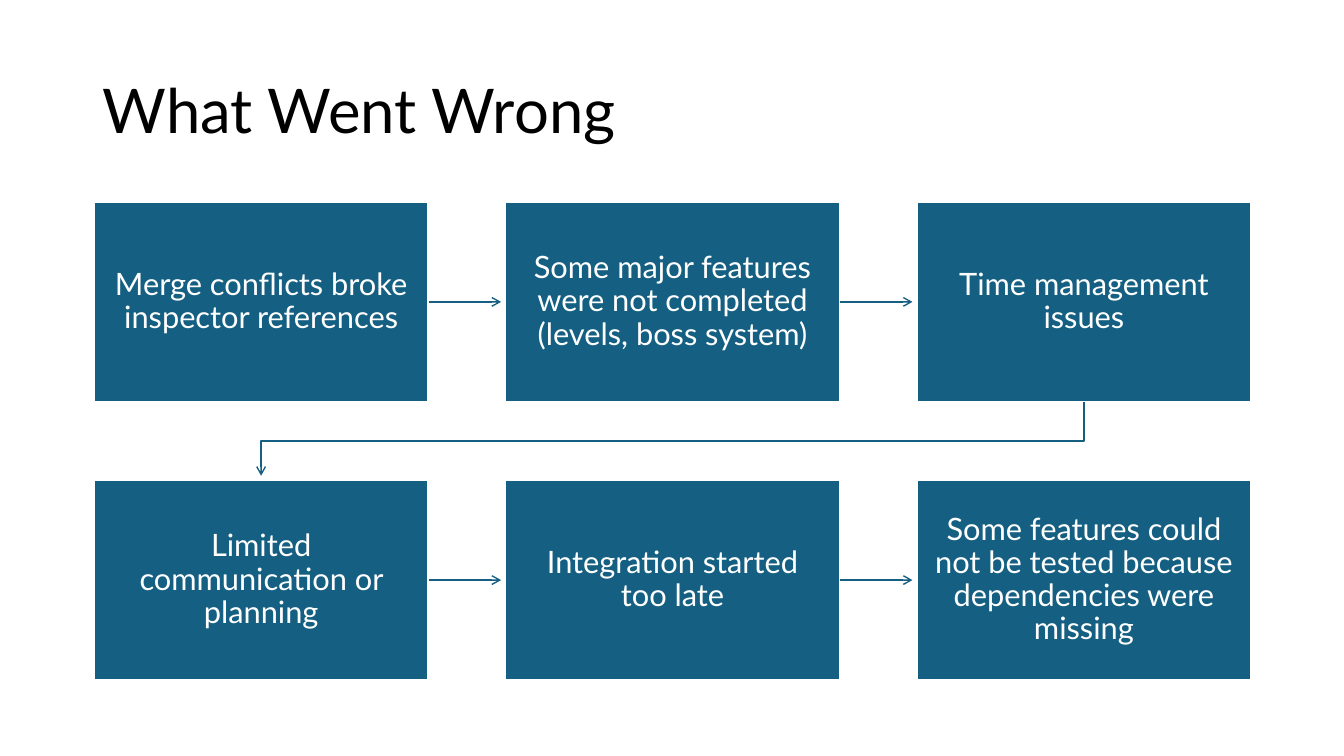
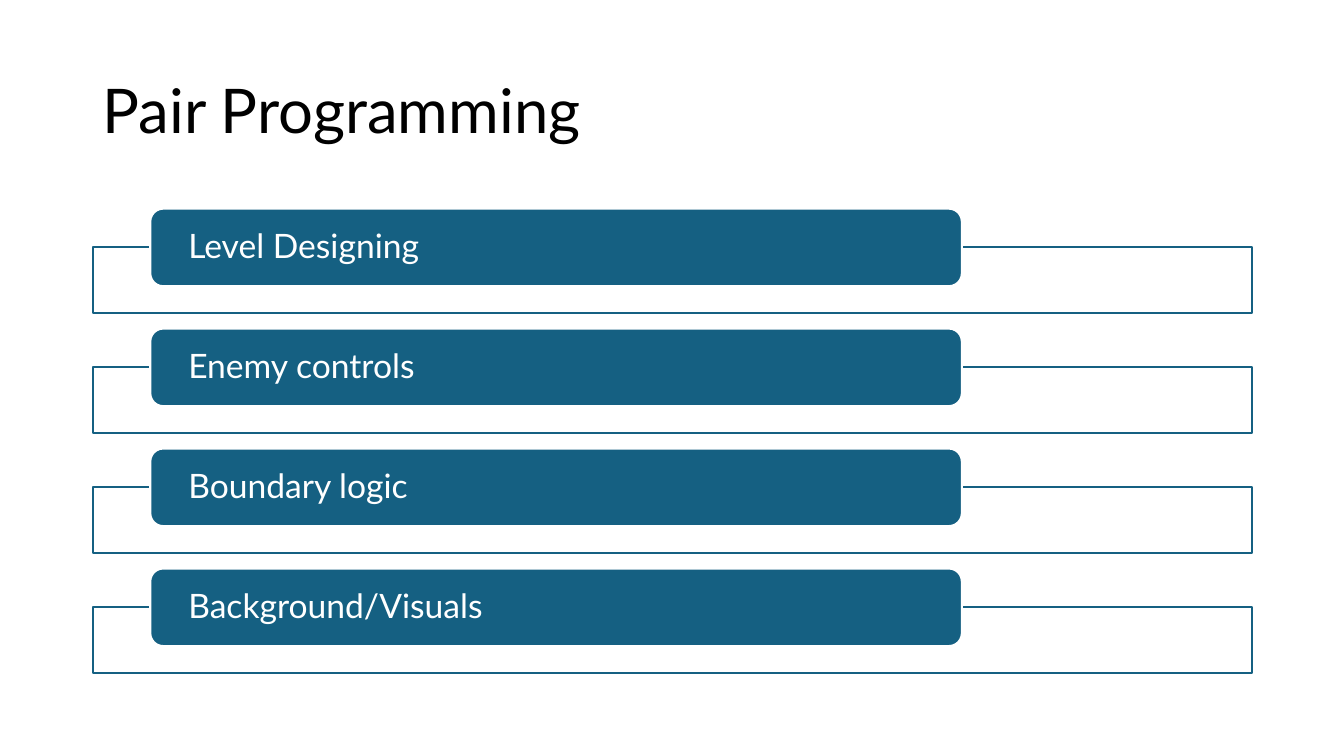
"""Build the two project review slides."""
from dataclasses import dataclass
from itertools import pairwise

from lxml.etree import SubElement
from pptx import Presentation
from pptx.dml.color import RGBColor as RGB
from pptx.enum.shapes import MSO_CONNECTOR as CONN, MSO_SHAPE as SHAPE
from pptx.enum.text import MSO_ANCHOR as ANCHOR, PP_ALIGN as ALIGN
from pptx.oxml.ns import qn
from pptx.util import Inches, Pt


@dataclass(frozen=True)
class Theme:
    font: str = "Lato"
    accent: RGB = RGB(0x15, 0x60, 0x82)
    paper: RGB = RGB(0xFF, 0xFF, 0xFF)
    ink: RGB = RGB(0, 0, 0)
    title_pt: float = 44
    step_pt: float = 22
    bar_pt: float = 24
    border_pt: float = 1.5
    arrow_pt: float = 1
    leading: float = 0.9


@dataclass(frozen=True)
class Grid:
    left: float
    top: float
    width: float
    height: float
    col_pitch: float = 0
    row_pitch: float = 0

    def cell(self, col=0, row=0):
        return (Inches(self.left + col * self.col_pitch),
                Inches(self.top + row * self.row_pitch),
                Inches(self.width), Inches(self.height))


TITLE = Grid(0.92, 0.4, 11.5, 1.45)
STEPS = Grid(0.93, 2, 3.32, 1.99, col_pitch=4.08, row_pitch=2.76)
FRAMES = Grid(0.92, 2.45, 11.5, 0.66, row_pitch=1.19)
BARS = Grid(1.49, 2.07, 8.05, 0.77, row_pitch=1.19)
ARROW_GAP = Inches(0.04)

STEP_TEXTS = (
    ("Merge conflicts broke inspector references",
     "Some major features were not completed (levels, boss system)",
     "Time management issues"),
    ("Limited communication or planning",
     "Integration started too late",
     "Some features could not be tested because dependencies were missing"),
)
BAR_TEXTS = ("Level Designing", "Enemy controls", "Boundary logic", "Background/Visuals")


def write(sp, text, *, font, size, color, leading, align=ALIGN.LEFT, inset=(0.1, 0.05)):
    tf = sp.text_frame
    tf.word_wrap = True
    tf.vertical_anchor = ANCHOR.MIDDLE
    tf.margin_left = tf.margin_right = Inches(inset[0])
    tf.margin_top = tf.margin_bottom = Inches(inset[1])
    p = tf.paragraphs[0]
    p.alignment = align
    p.line_spacing = leading
    r = p.add_run()
    r.text = text
    r.font.name = font
    r.font.size = Pt(size)
    r.font.color.rgb = color


class Deck:
    def __init__(self, theme):
        self.theme = theme
        self.prs = Presentation()
        self.prs.slide_width = Inches(13.33)
        self.prs.slide_height = Inches(7.5)
        self.s = None

    def slide(self, title):
        self.s = self.prs.slides.add_slide(self.prs.slide_layouts[6])
        sp = self.s.shapes.add_textbox(*TITLE.cell())
        self.text(sp, title, size=self.theme.title_pt, color=self.theme.ink)

    def text(self, sp, text, **fmt):
        write(sp, text, font=self.theme.font, leading=self.theme.leading, **fmt)

    def block(self, kind, cell, fill, line):
        sp = self.s.shapes.add_shape(kind, *cell)
        sp.shadow.inherit = False
        sp.fill.solid()
        sp.fill.fore_color.rgb = fill
        sp.line.color.rgb = line
        sp.line.width = Pt(self.theme.border_pt)
        return sp

    def step(self, text, col, row):
        t = self.theme
        sp = self.block(SHAPE.RECTANGLE, STEPS.cell(col, row), t.accent, t.paper)
        self.text(sp, text, size=t.step_pt, color=t.paper,
                  align=ALIGN.CENTER, inset=(0.16, 0.17))
        return sp

    def bar(self, text, row):
        t = self.theme
        self.block(SHAPE.RECTANGLE, FRAMES.cell(row=row), t.paper, t.accent)
        sp = self.block(SHAPE.ROUNDED_RECTANGLE, BARS.cell(row=row), t.accent, t.paper)
        self.text(sp, text, size=t.bar_pt, color=t.paper, inset=(0.34, 0))

    def arrow_line(self, sp):
        sp.line.color.rgb = self.theme.accent
        sp.line.width = Pt(self.theme.arrow_pt)
        sp_pr = sp.element.spPr
        SubElement(sp_pr.find(qn("a:ln")), qn("a:tailEnd"), type="arrow")
        SubElement(sp_pr, qn("a:effectLst"))

    def arrow(self, a, b):
        y = a.top + a.height // 2
        sp = self.s.shapes.add_connector(
            CONN.STRAIGHT, a.left + a.width, y, b.left - ARROW_GAP, y)
        sp.begin_connect(a, 3)
        self.arrow_line(sp)

    def row_break(self, a, b):
        x1, x2 = (sp.left + sp.width // 2 for sp in (a, b))
        y1, y2 = a.top + a.height, b.top
        mid = (y1 + y2) // 2
        fb = self.s.shapes.build_freeform(x1, y1)
        fb.add_line_segments([(x1, mid), (x2, mid), (x2, y2 - ARROW_GAP)], close=False)
        sp = fb.convert_to_shape()
        sp.fill.background()
        self.arrow_line(sp)


def main():
    deck = Deck(Theme())

    deck.slide("What Went Wrong")
    rows = [[deck.step(text, col, row) for col, text in enumerate(texts)]
            for row, texts in enumerate(STEP_TEXTS)]
    for steps in rows:
        for a, b in pairwise(steps):
            deck.arrow(a, b)
    for upper, lower in pairwise(rows):
        deck.row_break(upper[-1], lower[0])

    deck.slide("Pair Programming")
    for row, text in enumerate(BAR_TEXTS):
        deck.bar(text, row)

    deck.prs.save("out.pptx")


if __name__ == "__main__":
    main()
